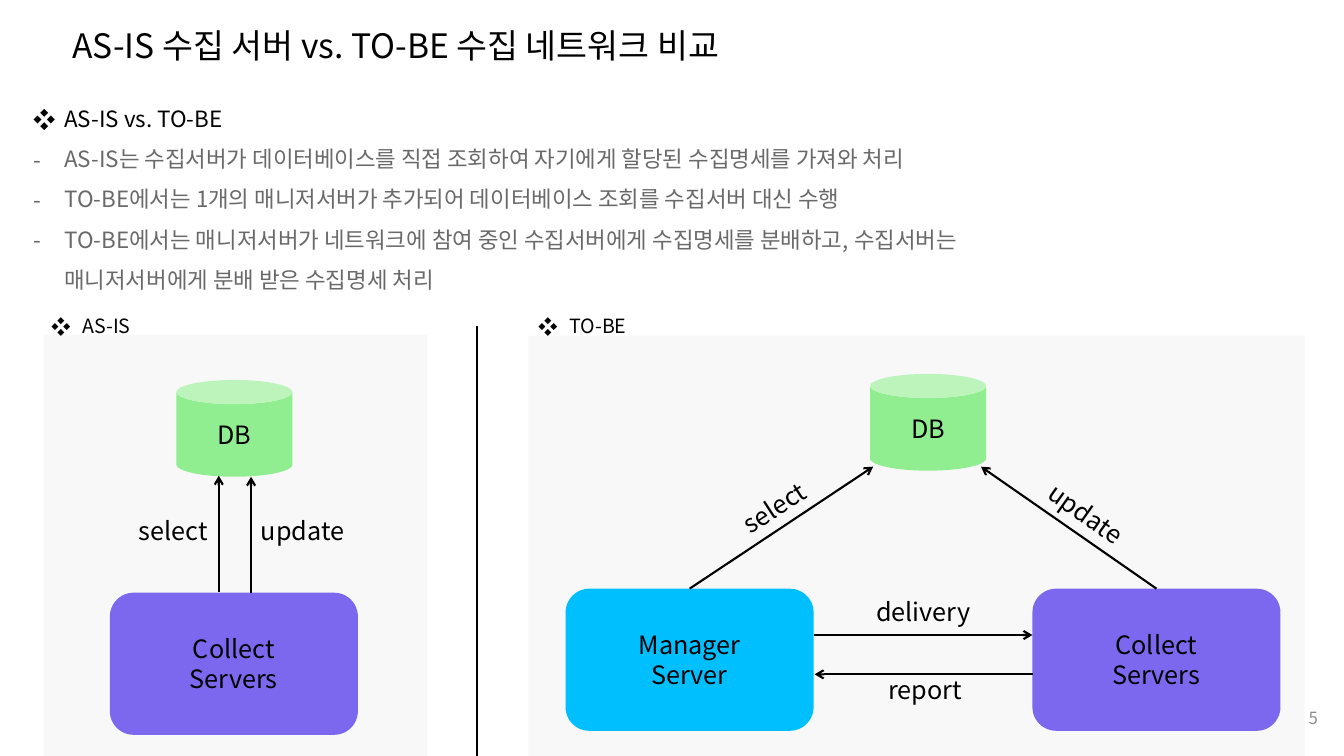
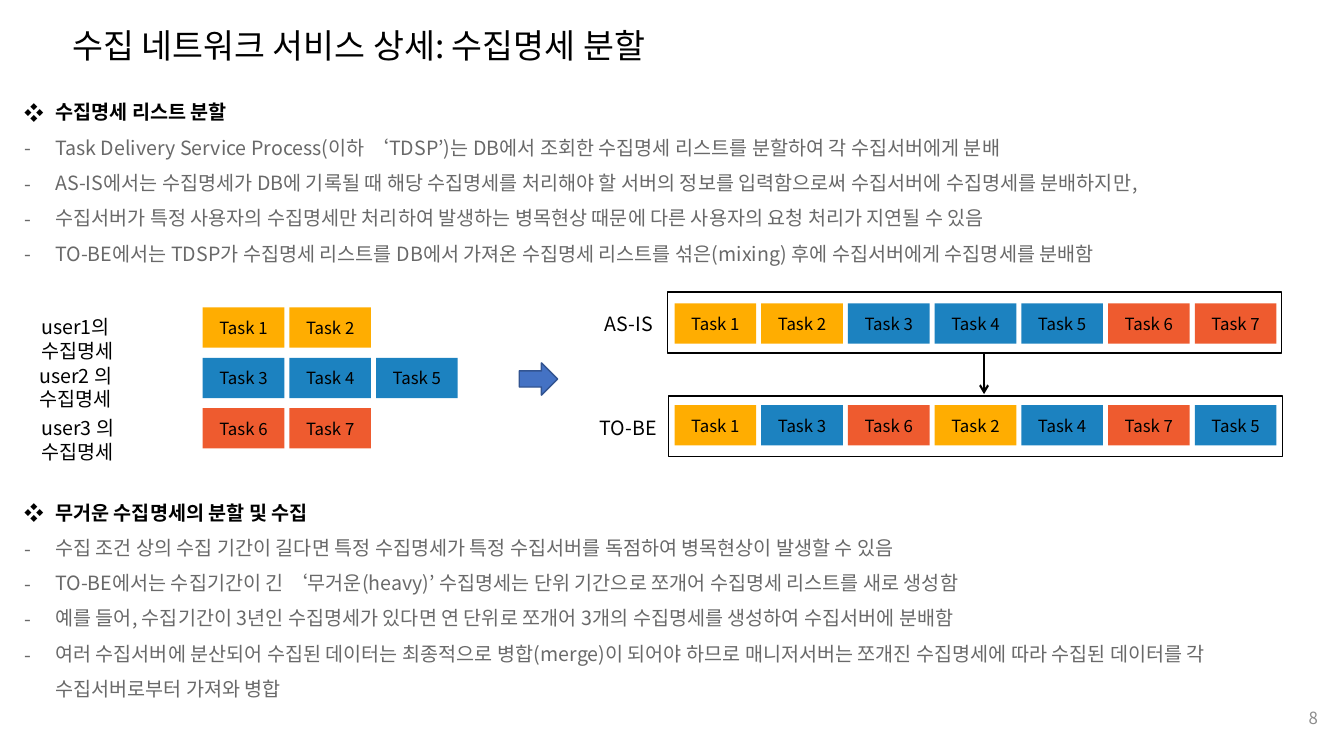
import pptx
import pptx.util
import pptx.dml.color
import pptx.enum.shapes
import pptx.enum.text
import pptx.oxml.ns
import lxml.etree

Inches = pptx.util.Inches
Pt = pptx.util.Pt
RGBColor = pptx.dml.color.RGBColor
SHAPE = pptx.enum.shapes.MSO_SHAPE
ALIGN = pptx.enum.text.PP_ALIGN
ANCHOR = pptx.enum.text.MSO_ANCHOR
qn = pptx.oxml.ns.qn

# Shared style
FONT = "Noto Sans CJK KR"
BLACK = RGBColor(0x00, 0x00, 0x00)
BODY_GRAY = RGBColor(0x69, 0x69, 0x69)
NUMBER_GRAY = RGBColor(0x8C, 0x8C, 0x8C)
PANEL_GRAY = RGBColor(0xF2, 0xF2, 0xF2)
PURPLE = RGBColor(0x7B, 0x68, 0xEE)
SKY = RGBColor(0x00, 0xBF, 0xFF)
GREEN = RGBColor(0x90, 0xEE, 0x90)
YELLOW = RGBColor(0xFF, 0xAD, 0x01)
BLUE = RGBColor(0x1C, 0x82, 0xC0)
RED = RGBColor(0xEE, 0x5B, 0x2F)
ARROW_FILL = RGBColor(0x44, 0x72, 0xC4)
ARROW_LINE = RGBColor(0x32, 0x54, 0x91)
SLIDE_WIDTH, SLIDE_HEIGHT = 13.33, 7.5
INDENT = 0.31

# Slide 1 content
COMPARISON_TITLE = "AS-IS 수집 서버 vs. TO-BE 수집 네트워크 비교"
COMPARISON = ("AS-IS vs. TO-BE", [
    "AS-IS는 수집서버가 데이터베이스를 직접 조회하여 자기에게 할당된 수집명세를 가져와 처리",
    "TO-BE에서는 1개의 매니저서버가 추가되어 데이터베이스 조회를 수집서버 대신 수행",
    "TO-BE에서는 매니저서버가 네트워크에 참여 중인 수집서버에게 수집명세를 분배하고, "
    "수집서버는 매니저서버에게 분배 받은 수집명세 처리",
])
# Panels: left, top, width, heading, heading left
PANELS = [
    (0.43, 3.32, 3.81, "AS-IS", 0.41),
    (5.24, 3.33, 7.7, "TO-BE", 5.24),
]
DATABASES = [(1.75, 3.77), (8.63, 3.71)]
SERVERS = [
    (1.09, 5.88, PURPLE, ["Collect", "Servers"]),
    (5.61, 5.84, SKY, ["Manager", "Server"]),
    (10.24, 5.84, PURPLE, ["Collect", "Servers"]),
]
# Flow arrows: start, end
FLOWS = [
    ((2.17, 5.87), (2.17, 4.72)),
    ((2.49, 5.88), (2.49, 4.73)),
    ((6.84, 5.84), (8.66, 4.63)),
    ((11.47, 5.84), (9.73, 4.63)),
    ((8.07, 6.3), (10.24, 6.3)),
    ((10.25, 6.69), (8.08, 6.69)),
]
# Flow labels: text, left, top, width, rotation
FLOW_LABELS = [
    ("select", 1.28, 5.06, 0.89, 0),
    ("update", 2.49, 5.06, 1.04, 0),
    ("select", 7.24, 4.83, 0.89, 327.1),
    ("update", 10.26, 4.9, 1.04, 35.3),
    ("delivery", 8.59, 5.87, 1.15, 0),
    ("report", 8.71, 6.64, 0.94, 0),
]

# Slide 2 content
SPLIT_TITLE = "수집 네트워크 서비스 상세: 수집명세 분할"
LIST_SPLIT = ("수집명세 리스트 분할", [
    "Task Delivery Service Process(이하 ‘TDSP’)는 DB에서 조회한 수집명세 리스트를 "
    "분할하여 각 수집서버에게 분배",
    "AS-IS에서는 수집명세가 DB에 기록될 때 해당 수집명세를 처리해야 할 서버의 정보를 "
    "입력함으로써 수집서버에 수집명세를 분배하지만,",
    "수집서버가 특정 사용자의 수집명세만 처리하여 발생하는 병목현상 때문에 "
    "다른 사용자의 요청 처리가 지연될 수 있음",
    "TO-BE에서는 TDSP가 수집명세 리스트를 DB에서 가져온 수집명세 리스트를 "
    "섞은(mixing) 후에 수집서버에게 수집명세를 분배함",
])
HEAVY_SPLIT = ("무거운 수집명세의 분할 및 수집", [
    "수집 조건 상의 수집 기간이 길다면 특정 수집명세가 특정 수집서버를 독점하여 "
    "병목현상이 발생할 수 있음",
    "TO-BE에서는 수집기간이 긴 ‘무거운(heavy)’ 수집명세는 단위 기간으로 쪼개어 "
    "수집명세 리스트를 새로 생성함",
    "예를 들어, 수집기간이 3년인 수집명세가 있다면 연 단위로 쪼개어 3개의 수집명세를 "
    "생성하여 수집서버에 분배함",
    "여러 수집서버에 분산되어 수집된 데이터는 최종적으로 병합(merge)이 되어야 하므로 "
    "매니저서버는 쪼개진 수집명세에 따라 수집된 데이터를 각 수집서버로부터 가져와 병합",
])
# Users: name line, label left, label top, tasks
USERS = [
    ("user1의", 0.31, 3.08, [1, 2]),
    ("user2 의", 0.29, 3.56, [3, 4, 5]),
    ("user3 의", 0.31, 4.08, [6, 7]),
]
USER_COLORS = [YELLOW, BLUE, RED]
TASK_COLORS = {task: color for (*_, tasks), color in zip(USERS, USER_COLORS) for task in tasks}
# Queues: name, label left, label top, label width, frame left, frame top, task top, tasks
QUEUES = [
    ("AS-IS", 5.9, 3.05, 0.69, 6.62, 2.9, 3.01, [1, 2, 3, 4, 5, 6, 7]),
    ("TO-BE", 5.85, 4.08, 0.77, 6.63, 3.93, 4.02, [1, 3, 6, 2, 4, 7, 5]),
]
TASK_WIDTH, TASK_HEIGHT, TASK_PITCH = 0.81, 0.4, 0.86
USER_TASK_LEFT, USER_TASK_TOP, USER_PITCH = 2.01, 3.05, 0.5
QUEUE_TASK_LEFT = 6.69


def add_run(paragraph, text, size, color=BLACK, bold=False):
    run = paragraph.add_run()
    run.text = text
    run.font.name = FONT
    run.font.size = Pt(size)
    run.font.bold = bold
    run.font.color.rgb = color
    east_asian = lxml.etree.Element(qn("a:ea"), typeface=FONT)
    run.font._element.find(qn("a:latin")).addnext(east_asian)


def fill_lines(frame, lines, size, color=BLACK, align=ALIGN.LEFT):
    for index, line in enumerate(lines):
        paragraph = frame.add_paragraph() if index else frame.paragraphs[0]
        paragraph.alignment = align
        add_run(paragraph, line, size, color)


def add_text(slide, box, lines, size, wrap=True, color=BLACK, align=ALIGN.LEFT,
             anchor=ANCHOR.TOP):
    shape = slide.shapes.add_textbox(*map(Inches, box))
    shape.text_frame.word_wrap = wrap
    shape.text_frame.vertical_anchor = anchor
    fill_lines(shape.text_frame, lines, size, color, align)
    return shape


def add_bullets(slide, box, heading, items, size, bold=False):
    """A diamond heading followed by grey dash items."""
    frame = add_text(slide, box, [], size).text_frame
    rows = [("❖", heading, BLACK, bold)] + [("-", item, BODY_GRAY, False) for item in items]
    for index, (mark, text, color, is_bold) in enumerate(rows):
        paragraph = frame.add_paragraph() if index else frame.paragraphs[0]
        paragraph.line_spacing = 1.5
        properties = paragraph._p.get_or_add_pPr()
        properties.set("marL", str(Inches(INDENT)))
        properties.set("indent", str(-Inches(INDENT)))
        lxml.etree.SubElement(properties, qn("a:buFont"), typeface=FONT)
        lxml.etree.SubElement(properties, qn("a:buChar"), char=mark)
        add_run(paragraph, text, size, color, is_bold)


def add_box(slide, kind, box, fill=None, lines=(), size=18, line=None, line_width=1):
    shape = slide.shapes.add_shape(kind, *map(Inches, box))
    shape.shadow.inherit = False
    if fill is None:
        shape.fill.background()
    else:
        shape.fill.solid()
        shape.fill.fore_color.rgb = fill
    if line is None:
        shape.line.fill.background()
    else:
        shape.line.color.rgb = line
        shape.line.width = Pt(line_width)
    shape.text_frame.vertical_anchor = ANCHOR.MIDDLE
    fill_lines(shape.text_frame, lines, size, align=ALIGN.CENTER)
    return shape


def add_line(slide, start, end, arrow=True):
    connector = slide.shapes.add_connector(
        pptx.enum.shapes.MSO_CONNECTOR.STRAIGHT, *map(Inches, start + end))
    connector.line.color.rgb = BLACK
    connector.line.width = Pt(1.5)
    if arrow:
        lxml.etree.SubElement(connector.line._get_or_add_ln(), qn("a:tailEnd"), type="arrow")
    lxml.etree.SubElement(connector._element.spPr, qn("a:effectLst"))


def add_tasks(slide, left, top, tasks):
    for column, task in enumerate(tasks):
        box = (left + column * TASK_PITCH, top, TASK_WIDTH, TASK_HEIGHT)
        add_box(slide, SHAPE.RECTANGLE, box, TASK_COLORS[task], [f"Task {task}"], 12)


def add_slide(presentation, title, number):
    slide = presentation.slides.add_slide(presentation.slide_layouts[6])
    add_text(slide, (0.62, 0.2, 7.94, 0.5), [title], 24)
    add_text(slide, (10.17, 6.92, 3, 0.4), [number], 12, color=NUMBER_GRAY,
             align=ALIGN.RIGHT, anchor=ANCHOR.MIDDLE)
    return slide


def build_comparison(presentation):
    slide = add_slide(presentation, COMPARISON_TITLE, "5")
    add_bullets(slide, (0.23, 0.86, 10.58, 2.07), *COMPARISON, 16)

    # Panels with headings, and the divider between them
    for left, top, width, heading, heading_left in PANELS:
        panel = add_box(slide, SHAPE.RECTANGLE, (left, top, width, SLIDE_HEIGHT - top), PANEL_GRAY)
        color = panel._element.spPr.find(qn("a:solidFill"))[0]
        lxml.etree.SubElement(color, qn("a:alpha"), val="51000")
        add_bullets(slide, (heading_left, 2.95, 1.27, 0.41), heading, [], 14)
    add_line(slide, (4.73, 3.23), (4.73, SLIDE_HEIGHT), arrow=False)

    # Databases, servers and the flows between them
    for left, top in DATABASES:
        add_box(slide, SHAPE.CAN, (left, top, 1.15, 0.96), GREEN, ["DB"])
    for left, top, color, lines in SERVERS:
        add_box(slide, SHAPE.ROUNDED_RECTANGLE, (left, top, 2.46, 1.41), color, lines)
    for start, end in FLOWS:
        add_line(slide, start, end)
    for text, left, top, width, rotation in FLOW_LABELS:
        label = add_text(slide, (left, top, width, 0.4), [text], 18, wrap=False)
        label.rotation = rotation


def build_split(presentation):
    slide = add_slide(presentation, SPLIT_TITLE, "8")
    add_bullets(slide, (0.14, 0.83, 12.65, 1.83), *LIST_SPLIT, 14, bold=True)
    add_bullets(slide, (0.14, 4.8, 12.56, 2.18), *HEAVY_SPLIT, 14, bold=True)

    # Tasks of each user
    for row, (name, left, top, tasks) in enumerate(USERS):
        add_text(slide, (left, top, 1.65, 0.34), [name, "수집명세"], 14)
        add_tasks(slide, USER_TASK_LEFT, USER_TASK_TOP + row * USER_PITCH, tasks)
    add_box(slide, SHAPE.RIGHT_ARROW, (5.15, 3.6, 0.38, 0.32), ARROW_FILL, line=ARROW_LINE)

    # Task queues before and after mixing
    for name, left, top, width, frame_left, frame_top, task_top, tasks in QUEUES:
        add_text(slide, (left, top, width, 0.34), [name], 14, wrap=False)
        add_tasks(slide, QUEUE_TASK_LEFT, task_top, tasks)
        add_box(slide, SHAPE.RECTANGLE, (frame_left, frame_top, 6.09, 0.6),
                line=BLACK, line_width=1.25)
    add_line(slide, (9.76, 3.51), (9.76, 3.91))


def main():
    presentation = pptx.Presentation()
    presentation.slide_width = Inches(SLIDE_WIDTH)
    presentation.slide_height = Inches(SLIDE_HEIGHT)
    build_comparison(presentation)
    build_split(presentation)
    presentation.save("out.pptx")


if __name__ == "__main__":
    main()
